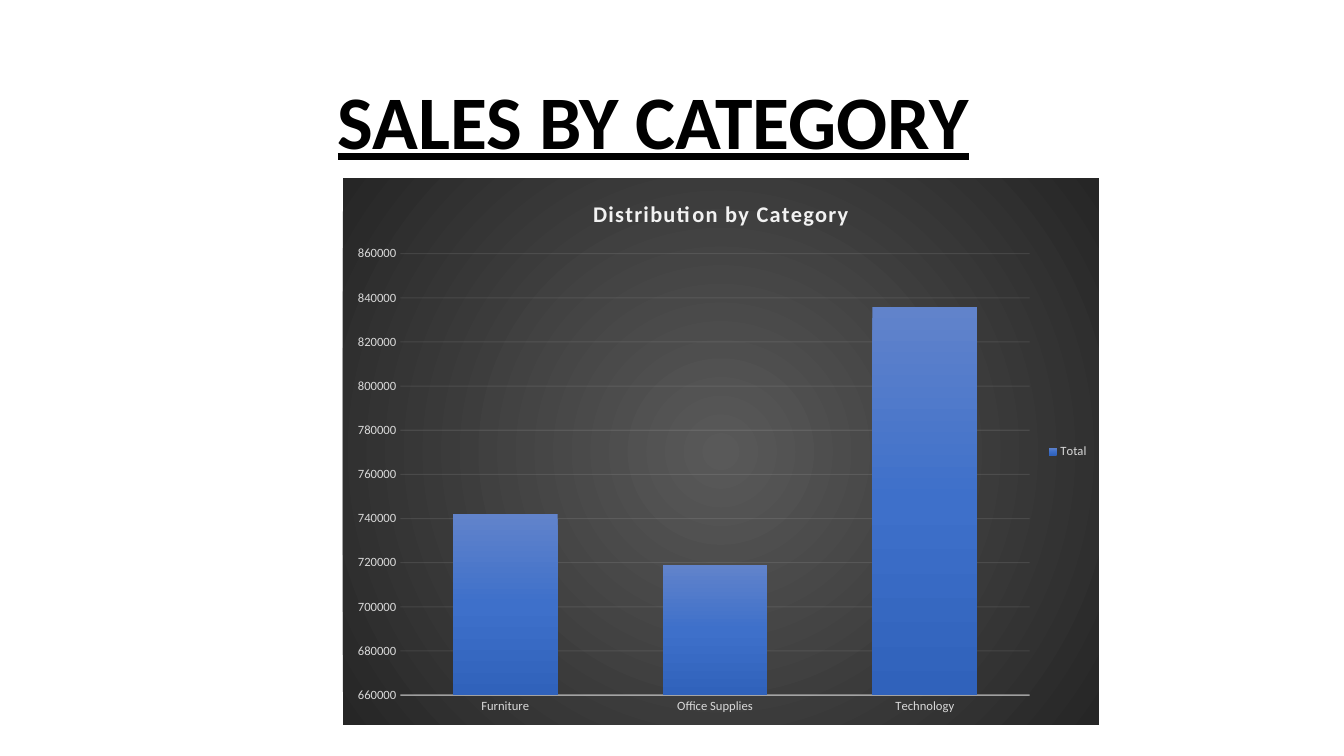
from lxml.etree import SubElement
from pptx import Presentation
from pptx.chart.data import CategoryChartData
from pptx.dml.color import RGBColor
from pptx.enum.chart import XL_CHART_TYPE, XL_LEGEND_POSITION, XL_TICK_MARK
from pptx.enum.text import MSO_ANCHOR, PP_ALIGN
from pptx.oxml import parse_xml
from pptx.oxml.ns import nsdecls, qn
from pptx.util import Inches, Pt

FONT = "Calibri"
BLACK = RGBColor(0x00, 0x00, 0x00)
PALE = RGBColor(0xF2, 0xF2, 0xF2)
LABEL = RGBColor(0xD9, 0xD9, 0xD9)
BACKDROP = [(0, RGBColor(0x59, 0x59, 0x59)), (100, RGBColor(0x26, 0x26, 0x26))]
BAR_BLUES = [(0, RGBColor(0x61, 0x83, 0xCB)), (50, RGBColor(0x3E, 0x70, 0xCA)),
             (100, RGBColor(0x30, 0x62, 0xBB))]
LINEAR = '<a:lin ang="5400000" scaled="0"/>'
CIRCLE = ('<a:path path="circle"><a:fillToRect l="50000" t="50000" '
          'r="50000" b="50000"/></a:path>')

SALES = {"Furniture": 742000, "Office Supplies": 719000, "Technology": 836000}


def style_font(font, size, color, bold=False):
    font.name = FONT
    font.size = Pt(size)
    font.bold = bold
    font.color.rgb = color


def style_line(line, width, color, opacity):
    line.width = Pt(width)
    line.color.rgb = color
    clr = line.fill._xPr.find(".//" + qn("a:srgbClr"))
    SubElement(clr, qn("a:alpha"), val=str(opacity * 1000))


def shape_props(stops, direction):
    """Chart shape properties with a gradient fill and no outline."""
    gs = "".join(f'<a:gs pos="{pos * 1000}"><a:srgbClr val="{color}"/></a:gs>'
                 for pos, color in stops)
    return parse_xml(f'<c:spPr {nsdecls("c", "a")}><a:gradFill rotWithShape="1">'
                     f'<a:gsLst>{gs}</a:gsLst>{direction}</a:gradFill>'
                     f'<a:ln><a:noFill/></a:ln></c:spPr>')


def add_title(slide, text):
    tf = slide.shapes.add_textbox(Inches(1.48), Inches(0.76),
                                  Inches(10), Inches(0.93)).text_frame
    tf.word_wrap = True
    tf.vertical_anchor = MSO_ANCHOR.BOTTOM
    tf.text = text
    p = tf.paragraphs[0]
    p.alignment = PP_ALIGN.CENTER
    p.line_spacing = 0.9
    r = p.runs[0]
    style_font(r.font, 54, BLACK, bold=True)
    r.font.underline = True


def style_axis(axis):
    axis.major_tick_mark = XL_TICK_MARK.NONE
    axis.minor_tick_mark = XL_TICK_MARK.NONE
    style_font(axis.tick_labels.font, 9, LABEL)


def add_sales_chart(slide):
    data = CategoryChartData()
    data.categories = list(SALES)
    data.add_series("Total", list(SALES.values()))
    chart = slide.shapes.add_chart(XL_CHART_TYPE.COLUMN_CLUSTERED, Inches(3.4), Inches(1.77),
                                   Inches(7.5), Inches(5.42), data).chart

    # Dark backdrop, placed before the chart's text properties
    style_font(chart.font, 10, BLACK)
    text_props = chart._chartSpace.find(qn("c:txPr"))
    text_props.addprevious(shape_props(BACKDROP, CIRCLE))

    # Heading
    chart.has_title = True
    tf = chart.chart_title.text_frame
    tf.text = "Distribution by Category"
    r = tf.paragraphs[0].runs[0]
    style_font(r.font, 16, PALE, bold=True)
    r.font._element.set("spc", "100")
    chart.chart_title.include_in_layout = False

    # Legend
    chart.has_legend = True
    chart.legend.position = XL_LEGEND_POSITION.RIGHT
    chart.legend.include_in_layout = False
    style_font(chart.legend.font, 9, LABEL)

    # Axes
    style_axis(chart.category_axis)
    style_line(chart.category_axis.format.line, 1, PALE, 54)
    value_axis = chart.value_axis
    style_axis(value_axis)
    value_axis.minimum_scale = 660000
    value_axis.maximum_scale = 860000
    value_axis.major_unit = 20000
    value_axis.format.line.fill.background()
    style_line(value_axis.major_gridlines.format.line, 0.75, PALE, 10)

    # Bars
    plot = chart.plots[0]
    plot.vary_by_categories = False
    plot.gap_width = 100
    plot.overlap = -24
    ser = plot.series[0]
    ser.format.fill.background()
    bar_props = ser._element.find(qn("c:spPr"))
    ser._element.replace(bar_props, shape_props(BAR_BLUES, LINEAR))


def main():
    prs = Presentation()
    prs.slide_width = Inches(13.33)
    prs.slide_height = Inches(7.5)
    slide = prs.slides.add_slide(prs.slide_layouts[6])
    add_title(slide, "SALES BY CATEGORY")
    add_sales_chart(slide)
    prs.save("out.pptx")


if __name__ == "__main__":
    main()
